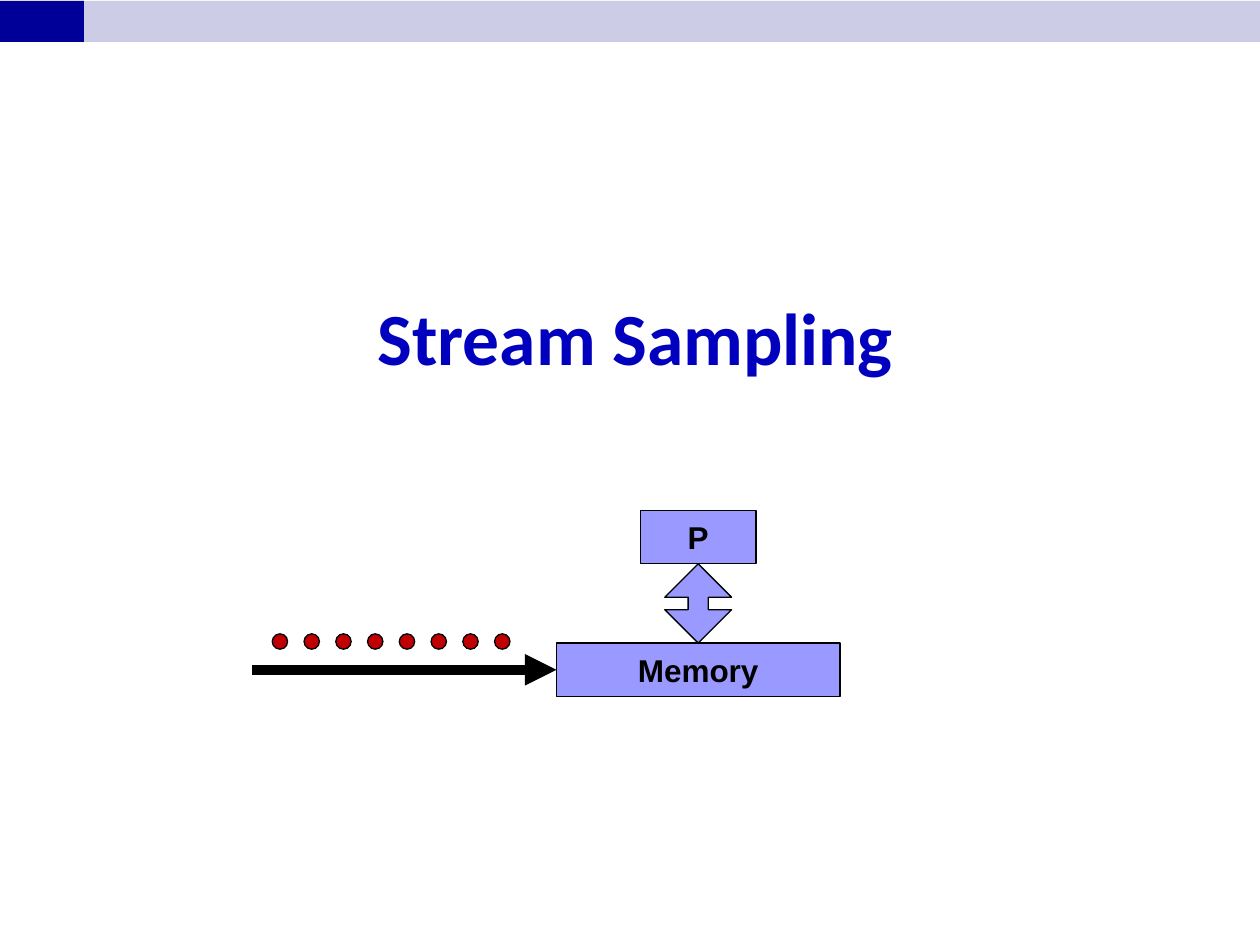
import dataclasses

import lxml.etree
import pptx
import pptx.dml.color
import pptx.enum.shapes
import pptx.enum.text
import pptx.oxml.ns
import pptx.util

Pt = pptx.util.Pt
Shape = pptx.enum.shapes.MSO_SHAPE


@dataclasses.dataclass(frozen=True)
class Theme:
    band: str = "CCCCE6"
    band_accent: str = "000099"
    title: str = "0000BE"
    block: str = "9999FF"
    item: str = "C00000"
    ink: str = "000000"
    title_font: str = "Calibri"
    label_font: str = "Arial"
    title_size: float = 42
    label_size: float = 18
    outline: float = 0.75
    stream_width: float = 6


THEME = Theme()


@dataclasses.dataclass(frozen=True)
class Box:
    left: float
    top: float
    width: float
    height: float

    @property
    def center(self):
        return self.left + self.width / 2

    @property
    def middle(self):
        return self.top + self.height / 2

    @property
    def bottom(self):
        return self.top + self.height

    def lengths(self):
        return [Pt(value) for value in (self.left, self.top, self.width, self.height)]


def color(value):
    return pptx.dml.color.RGBColor.from_string(value)


def set_text(shape, text, font_name, size, text_color):
    frame = shape.text_frame
    frame.text = text
    frame.word_wrap = True
    frame.vertical_anchor = pptx.enum.text.MSO_ANCHOR.MIDDLE
    para = frame.paragraphs[0]
    para.alignment = pptx.enum.text.PP_ALIGN.CENTER
    font = para.runs[0].font
    font.name = font_name
    font.size = Pt(size)
    font.bold = True
    font.color.rgb = color(text_color)


def add_filled(page, kind, box, fill, outlined=True):
    shape = page.shapes.add_shape(kind, *box.lengths())
    shape.shadow.inherit = False
    shape.fill.solid()
    shape.fill.fore_color.rgb = color(fill)
    if outlined:
        shape.line.color.rgb = color(THEME.ink)
        shape.line.width = Pt(THEME.outline)
    else:
        shape.line.fill.background()
    return shape


def add_band(page, box):
    accent = dataclasses.replace(box, width=48)
    add_filled(page, Shape.RECTANGLE, box, THEME.band, outlined=False)
    add_filled(page, Shape.RECTANGLE, accent, THEME.band_accent, outlined=False)


def add_title(page, box, text):
    title = page.shapes.title
    title.left, title.top, title.width, title.height = box.lengths()
    set_text(title, text, THEME.title_font, THEME.title_size, THEME.title)


def add_block(page, box, label):
    block = add_filled(page, Shape.RECTANGLE, box, THEME.block)
    set_text(block, label, THEME.label_font, THEME.label_size, THEME.ink)


def add_stream(page, box, item_count=8, item_size=8.8, pitch=18.15):
    """Draw a row of items above an arrow along the bottom of the box."""
    arrow = page.shapes.add_connector(
        pptx.enum.shapes.MSO_CONNECTOR.STRAIGHT,
        Pt(box.left), Pt(box.bottom), Pt(box.left + box.width), Pt(box.bottom))
    arrow.line.color.rgb = color(THEME.ink)
    arrow.line.width = Pt(THEME.stream_width)
    qualified = pptx.oxml.ns.qn
    lxml.etree.SubElement(arrow.line._ln, qualified("a:tailEnd"), type="triangle")
    lxml.etree.SubElement(arrow._element.spPr, qualified("a:effectLst"))

    for index in range(item_count):
        item = Box(box.left + 11.6 + index * pitch, box.top, item_size, item_size)
        add_filled(page, Shape.OVAL, item, THEME.item)


def add_stream_model(page, box):
    """Draw a processor above its memory, with a stream flowing into the memory."""
    block_height, memory_width, processor_width, link_width = 30.5, 162, 66, 38.2
    memory = Box(box.left + box.width - memory_width, box.bottom - block_height,
                 memory_width, block_height)
    processor = Box(memory.center - processor_width / 2, box.top,
                    processor_width, block_height)
    link = Box(memory.center - link_width / 2, processor.bottom,
               link_width, memory.top - processor.bottom)
    stream_top = memory.top - 5.3

    add_block(page, processor, "P")
    add_block(page, memory, "Memory")
    arrow = add_filled(page, Shape.UP_DOWN_ARROW, link, THEME.block)
    arrow.adjustments[0] = 0.28
    arrow.adjustments[1] = 0.3
    add_stream(page, Box(box.left, stream_top, memory.left - box.left,
                         memory.middle - stream_top))


def main():
    deck = pptx.Presentation()
    deck.slide_width, deck.slide_height = Pt(720), Pt(540)
    page = deck.slides.add_slide(deck.slide_layouts.get_by_name("Title Only"))
    add_band(page, Box(0, 0.5, 720, 23.5))
    add_title(page, Box(24, 60, 678, 264), "Stream Sampling")
    add_stream_model(page, Box(144, 291.7, 336, 106.3))
    deck.save("out.pptx")


if __name__ == "__main__":
    main()
